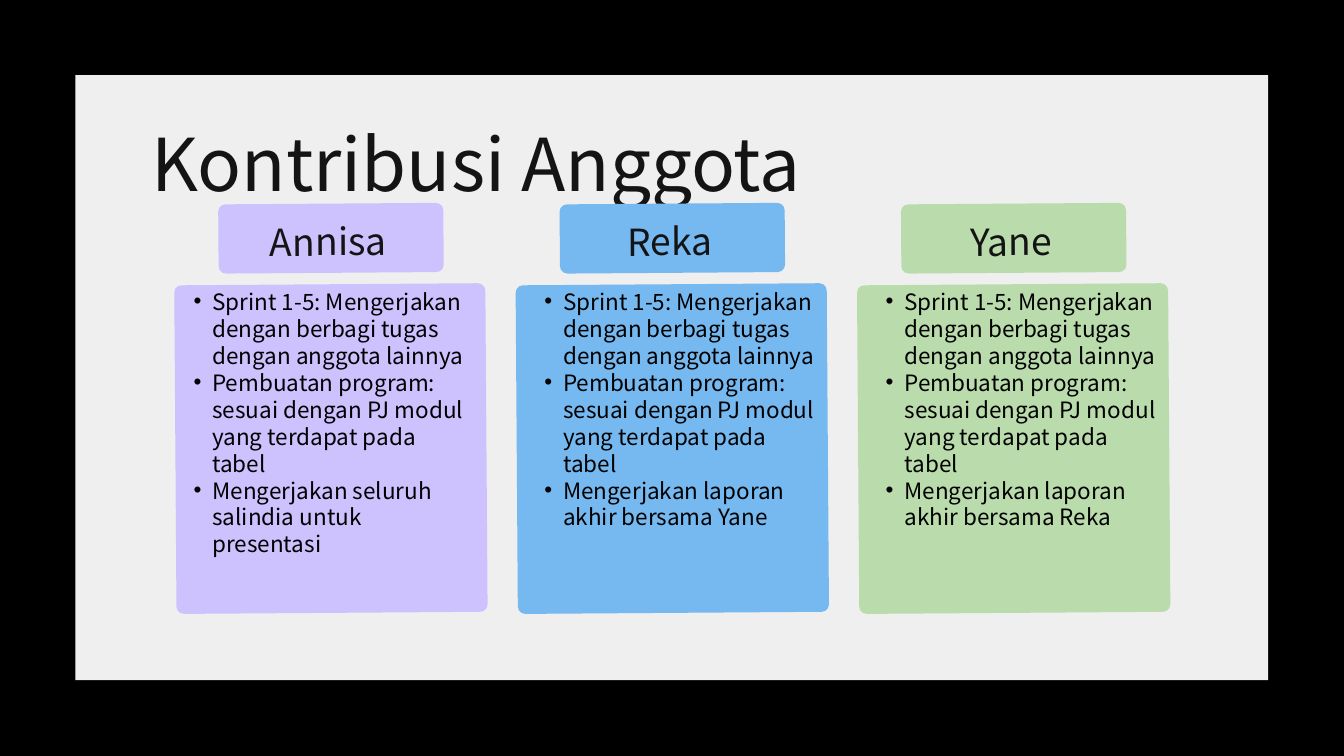
from lxml import etree
from pptx import Presentation
from pptx.dml.color import RGBColor
from pptx.enum import shapes, text
from pptx.oxml.ns import qn
from pptx.util import Inches, Pt

FONT = "Noto Sans CJK KR"
TILT = 359.6
PITCH = 5.08
RADIUS = 0.11

prs = Presentation()
prs.slide_width, prs.slide_height = Inches(20), Inches(11.25)
s = prs.slides.add_slide(prs.slide_layouts[4])
s.background.fill.solid()
s.background.fill.fore_color.rgb = RGBColor.from_string("000000")


def add_box(kind, x, y, w, h, color):
    sp = s.shapes.add_shape(kind, Inches(x), Inches(y), Inches(w), Inches(h))
    sp.fill.solid()
    sp.fill.fore_color.rgb = RGBColor.from_string(color)
    sp.line.fill.background()
    sp.shadow.inherit = False
    return sp


def put_text(sp, at, lines, size, color, spacing, align=text.PP_ALIGN.LEFT):
    sp.left, sp.top, sp.width, sp.height = [Inches(v) for v in at]
    tf = sp.text_frame
    tf.text = "\n".join(lines)
    tf.word_wrap = True
    tf.auto_size = text.MSO_AUTO_SIZE.NONE
    tf.vertical_anchor = text.MSO_ANCHOR.TOP
    tf.margin_left = tf.margin_top = tf.margin_right = tf.margin_bottom = 0
    for p in tf.paragraphs:
        p.alignment = align
        p.line_spacing = Pt(spacing)
        p.space_before = p.space_after = Pt(0)
        for r in p.runs:
            r.font.name, r.font.size, r.font.bold = FONT, Pt(size), False
            r.font.color.rgb = RGBColor.from_string(color)


# Panel, with the title above it
add_box(shapes.MSO_SHAPE.RECTANGLE, 1.12, 1.12, 17.75, 9, "EFEFEF")
title = s.shapes.title
put_text(title, (2.25, 1.55, 11.81, 1.47), ["Kontribusi Anggota"], 78, "141414", 109.2)
s.shapes.element.append(title.element)

# One column per member: name, colour, list position, own task
members = [
    ("Annisa", "CDC2FE", 2.59, "Mengerjakan seluruh salindia untuk presentasi"),
    ("Reka", "76B9F0", 7.81, "Mengerjakan laporan akhir bersama Yane"),
    ("Yane", "BADCAC", 12.89, "Mengerjakan laporan akhir bersama Reka"),
]
shared_tasks = [
    "Sprint 1-5: Mengerjakan dengan berbagi tugas dengan anggota lainnya",
    "Pembuatan program: sesuai dengan PJ modul yang terdapat pada tabel",
]
bodies = [ph for ph in s.placeholders if ph.placeholder_format.idx != 0]

for i, (name, color, list_x, task) in enumerate(members):
    # Name tag and card
    for x, y, w, h in ((3.25, 3.03, 3.35, 1.03), (2.61, 4.23, 4.63, 4.89)):
        card = add_box(shapes.MSO_SHAPE.ROUNDED_RECTANGLE, x + i * PITCH, y, w, h, color)
        card.adjustments[0] = RADIUS / min(w, h)
        card.rotation = TILT
    label = s.shapes.add_textbox(0, 0, 0, 0)
    put_text(label, (3.61 + i * PITCH, 3.14, 2.55, 0.74), [name], 40, "141414", 56,
             text.PP_ALIGN.CENTER)
    label.rotation = TILT

    # Bulleted task list
    body = bodies[i]
    put_text(body, (list_x, 4.28, 4.39, 4.76), shared_tasks + [task], 24.1, "010101", 28.9)
    for p in body.text_frame.paragraphs:
        pPr = p._p.get_or_add_pPr()
        pPr.set("marL", str(Inches(0.57)))
        pPr.set("indent", str(Inches(-0.28)))
        etree.SubElement(pPr, qn("a:buFont")).set("typeface", "Arial")
        etree.SubElement(pPr, qn("a:buChar")).set("char", "•")
    s.shapes.element.append(body.element)

# Drop the unused placeholder
for ph in bodies[len(members):]:
    ph.element.getparent().remove(ph.element)

prs.save("out.pptx")
